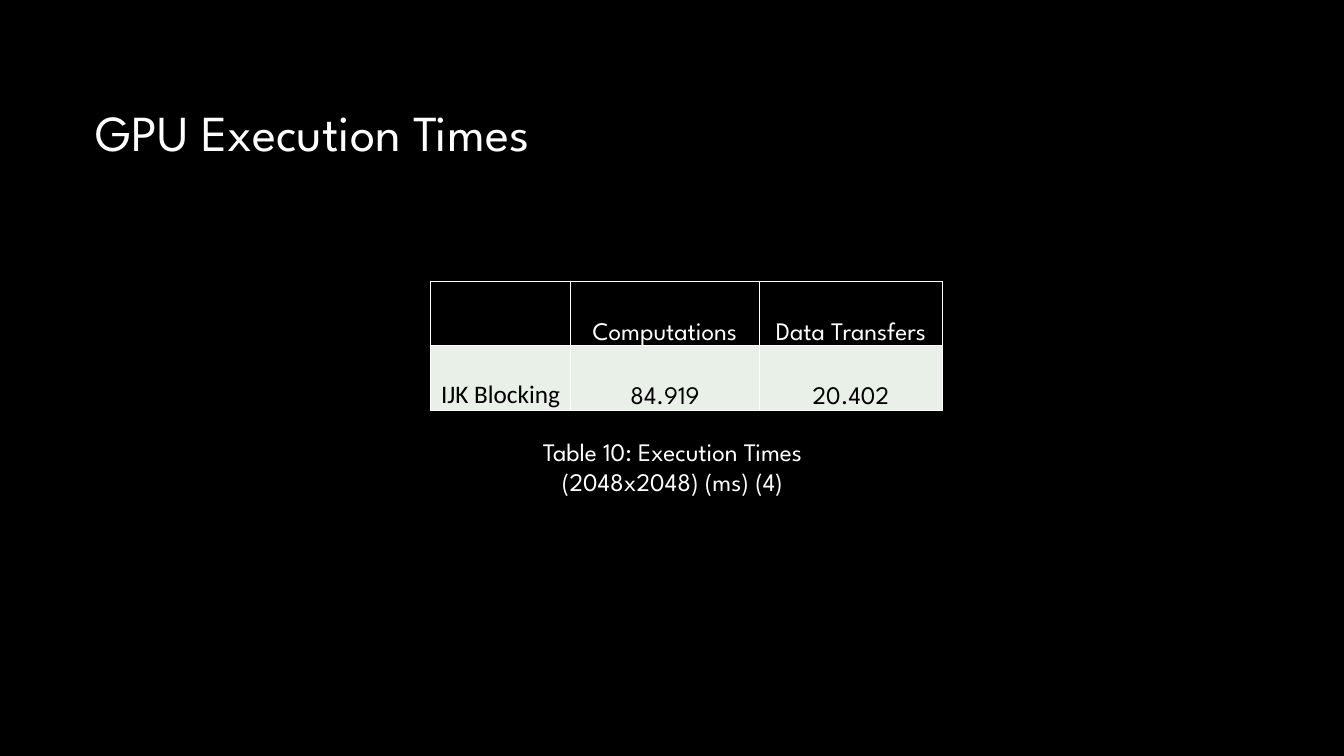
from dataclasses import dataclass

from lxml import etree
from pptx import Presentation
from pptx.dml.color import RGBColor
from pptx.enum.text import MSO_ANCHOR, MSO_AUTO_SIZE, PP_ALIGN
from pptx.oxml.ns import qn
from pptx.util import Inches, Pt

LEFT, CENTER = PP_ALIGN.LEFT, PP_ALIGN.CENTER
BOTTOM = MSO_ANCHOR.BOTTOM
GROW = MSO_AUTO_SIZE.SHAPE_TO_FIT_TEXT
BORDER_SIDES = ("a:lnL", "a:lnR", "a:lnT", "a:lnB")


@dataclass(frozen=True)
class Theme:
    black: str = "000000"
    white: str = "FFFFFF"
    pale_green: str = "E9F0E8"
    main_font: str = "League Spartan"
    label_font: str = "Calibri"
    title_size: int = 36
    body_size: int = 18
    border_width: int = 1


THEME = Theme()

COLUMN_WIDTHS = (1.39, 1.87, 1.82)
ROW_HEIGHT = 0.64
TIMES = (
    ("", "Computations", "Data Transfers"),
    ("IJK Blocking", "84.919", "20.402"),
)
CELL_FORMAT = {
    "vertical_anchor": BOTTOM,
    "margin_left": Inches(0.01),
    "margin_right": Inches(0.01),
    "margin_top": Inches(0.01),
    "margin_bottom": Inches(0),
}


def write(frame, text, size, color, align=LEFT, font=THEME.main_font):
    paragraph = frame.paragraphs[0]
    paragraph.alignment = align
    run = paragraph.add_run()
    run.text = text
    run.font.name = font
    run.font.size = Pt(size)
    run.font.color.rgb = RGBColor.from_string(color)


def add_label(slide, text, left, top, width, height, size, align=LEFT):
    label = slide.shapes.add_textbox(
        Inches(left), Inches(top), Inches(width), Inches(height))
    label.text_frame.word_wrap = True
    label.text_frame.auto_size = GROW
    write(label.text_frame, text, size, THEME.white, align)


def add_borders(cell):
    properties = cell._tc.get_or_add_tcPr()
    for position, side in enumerate(BORDER_SIDES):
        line = etree.Element(qn(side), w=str(Pt(THEME.border_width)))
        fill = etree.SubElement(line, qn("a:solidFill"))
        etree.SubElement(fill, qn("a:srgbClr"), val=THEME.white)
        properties.insert(position, line)


def fill_cell(cell, text, background, color, font):
    for name, value in CELL_FORMAT.items():
        setattr(cell, name, value)
    cell.fill.solid()
    cell.fill.fore_color.rgb = RGBColor.from_string(background)
    add_borders(cell)
    if text:
        write(cell.text_frame, text, THEME.body_size, color, CENTER, font)


def add_times_table(slide, left, top):
    times = slide.shapes.add_table(
        len(TIMES), len(COLUMN_WIDTHS), Inches(left), Inches(top),
        Inches(sum(COLUMN_WIDTHS)), Inches(ROW_HEIGHT * len(TIMES))).table
    for column, width in zip(times.columns, COLUMN_WIDTHS):
        column.width = Inches(width)
    for row_index, entries in enumerate(TIMES):
        times.rows[row_index].height = Inches(ROW_HEIGHT)
        is_header = row_index == 0
        background = THEME.black if is_header else THEME.pale_green
        color = THEME.white if is_header else THEME.black
        for column_index, text in enumerate(entries):
            font = THEME.label_font if column_index == 0 else THEME.main_font
            fill_cell(times.cell(row_index, column_index),
                      text, background, color, font)


def main():
    deck = Presentation()
    deck.slide_width, deck.slide_height = Inches(13.33), Inches(7.5)
    slide = deck.slides.add_slide(deck.slide_layouts[6])
    slide.background.fill.solid()
    slide.background.fill.fore_color.rgb = RGBColor.from_string(THEME.black)

    # Title
    add_label(slide, "GPU Execution Times",
              0.85, 0.95, 7.87, 0.71, THEME.title_size)

    # Execution times with their caption
    add_times_table(slide, 4.27, 2.79)
    add_label(slide, "Table 10: Execution Times (2048x2048) (ms) (4)",
              4.76, 4.28, 3.82, 0.71, THEME.body_size, CENTER)

    deck.save("out.pptx")


if __name__ == "__main__":
    main()
